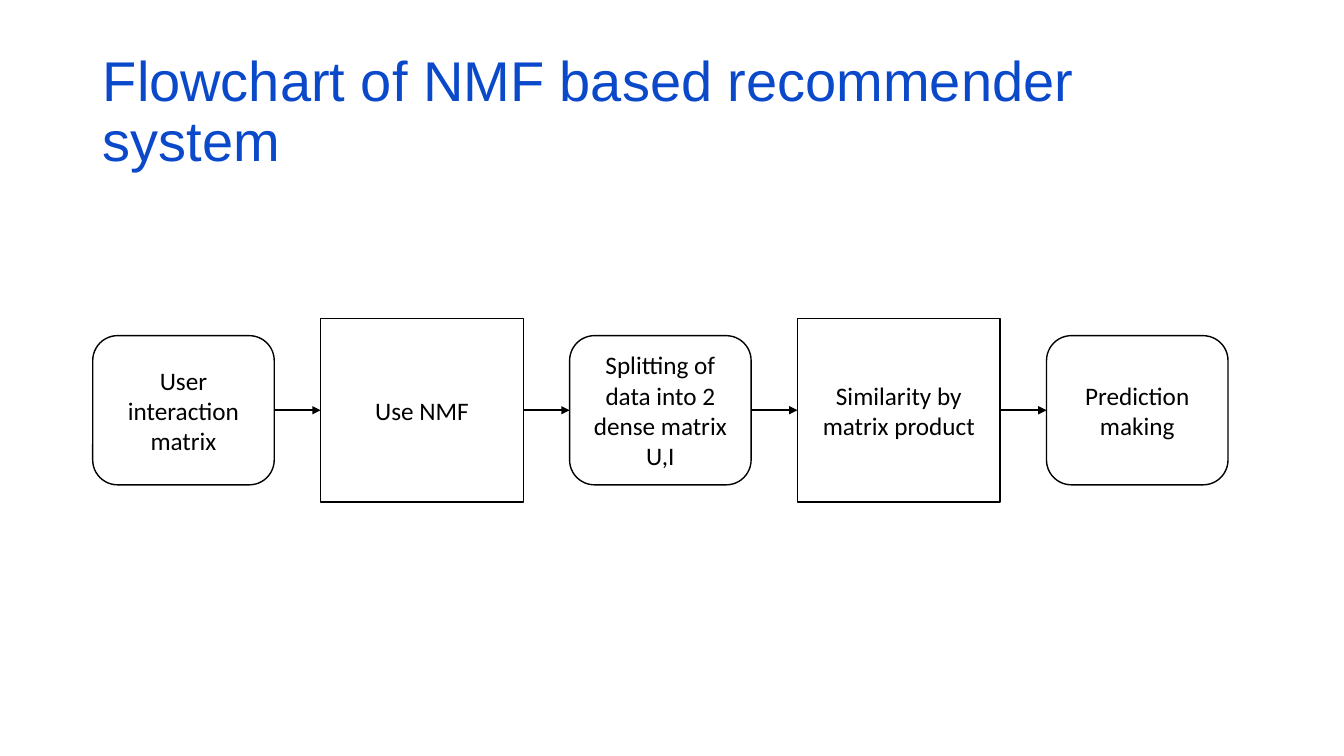
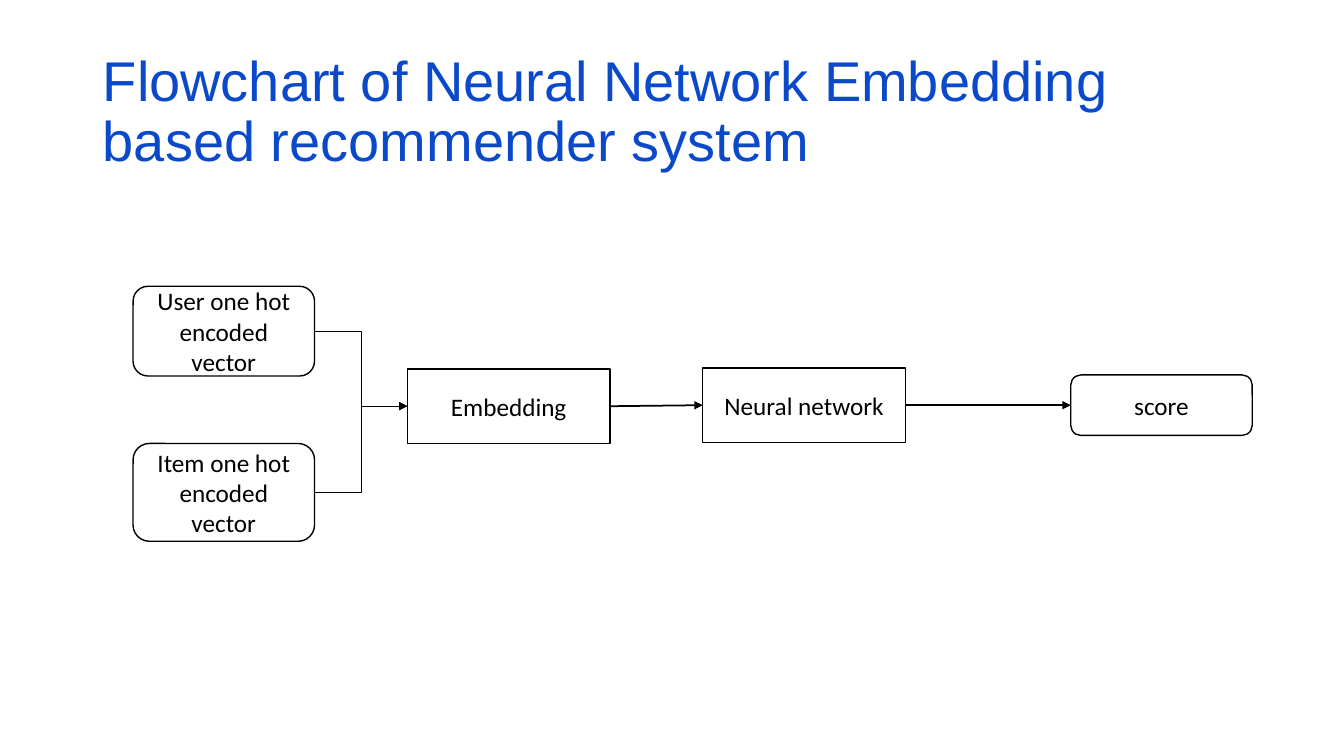
from dataclasses import dataclass

from pptx import Presentation
from pptx import util as u
from pptx.dml.color import RGBColor
from pptx.enum import shapes, text
from pptx.oxml import ns
from lxml import etree


@dataclass(frozen=True)
class Theme:
    title_color: RGBColor = RGBColor(0x0B, 0x49, 0xCB)
    ink: RGBColor = RGBColor(0, 0, 0)
    paper: RGBColor = RGBColor(255, 255, 255)
    title_font: str = "Arial"
    body_font: str = "Calibri"
    title_size: int = 40
    body_size: int = 18
    outline: float = 1
    arrow: float = 1.25
    elbow: float = 0.5


theme = Theme()
PX = u.Inches(1) // 100
DATA, STEP = shapes.MSO_SHAPE.ROUNDED_RECTANGLE, shapes.MSO_SHAPE.RECTANGLE
STRAIGHT, ELBOW = shapes.MSO_CONNECTOR.STRAIGHT, shapes.MSO_CONNECTOR.ELBOW
WIDTHS = {DATA: 180, STEP: 201}
LEFT_SITE, RIGHT_SITE = 1, 3


def write_text(frame, words, *, font, size, color, align, spacing=None):
    frame.word_wrap = True
    frame.vertical_anchor = text.MSO_ANCHOR.MIDDLE
    paragraph = frame.paragraphs[0]
    paragraph.alignment = align
    paragraph.line_spacing = spacing
    run = paragraph.add_run()
    run.text = words
    run.font.name = font
    run.font.size = u.Pt(size)
    run.font.color.rgb = color


pipeline = []
left, middle, gap = 92, 407, 46
for kind, height, words in [
    (DATA, 148, "User interaction matrix"),
    (STEP, 182, "Use NMF"),
    (DATA, 148, "Splitting of data into 2 dense matrix U,I"),
    (STEP, 182, "Similarity by matrix product"),
    (DATA, 148, "Prediction making"),
]:
    pipeline.append((kind, left, middle - height // 2, height, words))
    left += WIDTHS[kind] + gap

network = [
    (DATA, 132, 284, 89, "User one hot encoded vector"),
    (DATA, 132, 440, 97, "Item one hot encoded vector"),
    (STEP, 404, 366, 74, "Embedding"),
    (STEP, 697, 365, 74, "Neural network"),
    (DATA, 1062, 372, 60, "score"),
]

flowcharts = [
    (
        "Flowchart of NMF based recommender system",
        pipeline,
        [(i, i + 1, STRAIGHT, theme.arrow) for i in range(len(pipeline) - 1)],
    ),
    (
        "Flowchart of Neural Network Embedding based recommender system",
        network,
        [
            (0, 2, ELBOW, theme.elbow),
            (1, 2, ELBOW, theme.elbow),
            (2, 3, STRAIGHT, theme.arrow),
            (3, 4, STRAIGHT, theme.arrow),
        ],
    ),
]

presentation = Presentation()
presentation.slide_width, presentation.slide_height = 1333 * PX, 750 * PX
layout = presentation.slide_layouts.get_by_name("Title Only")

for heading, boxes, links in flowcharts:
    slide = presentation.slides.add_slide(layout)
    title = slide.shapes.title
    title.left, title.top, title.width, title.height = (
        92 * PX, 40 * PX, 1150 * PX, 145 * PX)
    write_text(title.text_frame, heading, font=theme.title_font,
               size=theme.title_size, color=theme.title_color,
               align=text.PP_ALIGN.LEFT, spacing=0.9)

    nodes = []
    for kind, left, top, height, words in boxes:
        shape = slide.shapes.add_shape(
            kind, left * PX, top * PX, WIDTHS[kind] * PX, height * PX)
        shape.shadow.inherit = False
        if kind == STEP:
            shape.fill.solid()
            shape.fill.fore_color.rgb = theme.paper
        else:
            shape.fill.background()
        shape.line.color.rgb = theme.ink
        shape.line.width = u.Pt(theme.outline)
        write_text(shape.text_frame, words, font=theme.body_font,
                   size=theme.body_size, color=theme.ink,
                   align=text.PP_ALIGN.CENTER)
        nodes.append(shape)

    for start, end, route, weight in links:
        connector = slide.shapes.add_connector(route, 0, 0, 0, 0)
        connector.begin_connect(nodes[start], RIGHT_SITE)
        connector.end_connect(nodes[end], LEFT_SITE)
        connector.line.color.rgb = theme.ink
        connector.line.width = u.Pt(weight)
        properties = connector._element.spPr
        outline = properties.find(ns.qn("a:ln"))
        etree.SubElement(outline, ns.qn("a:tailEnd"), type="triangle")
        etree.SubElement(properties, ns.qn("a:effectLst"))

presentation.save("out.pptx")
